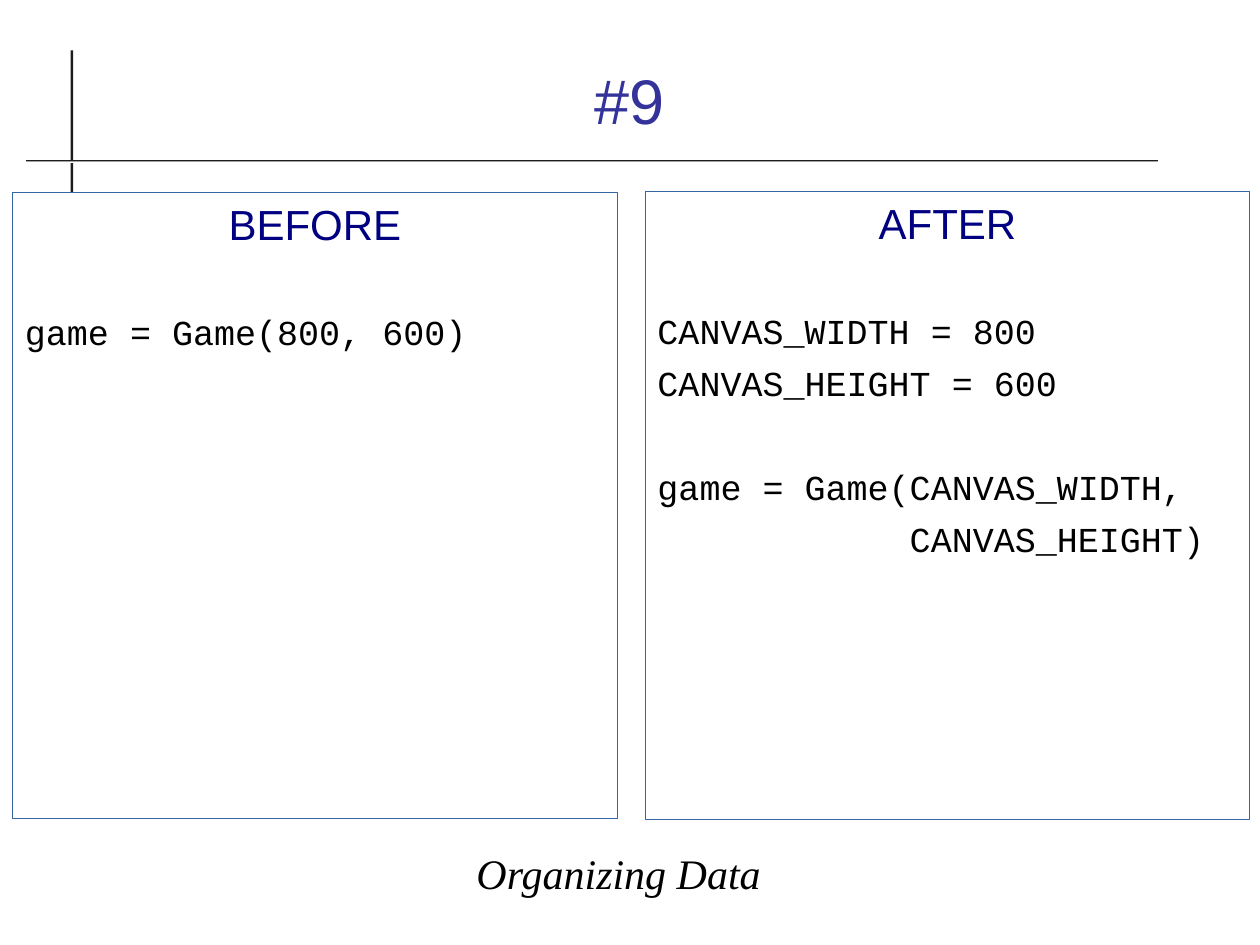
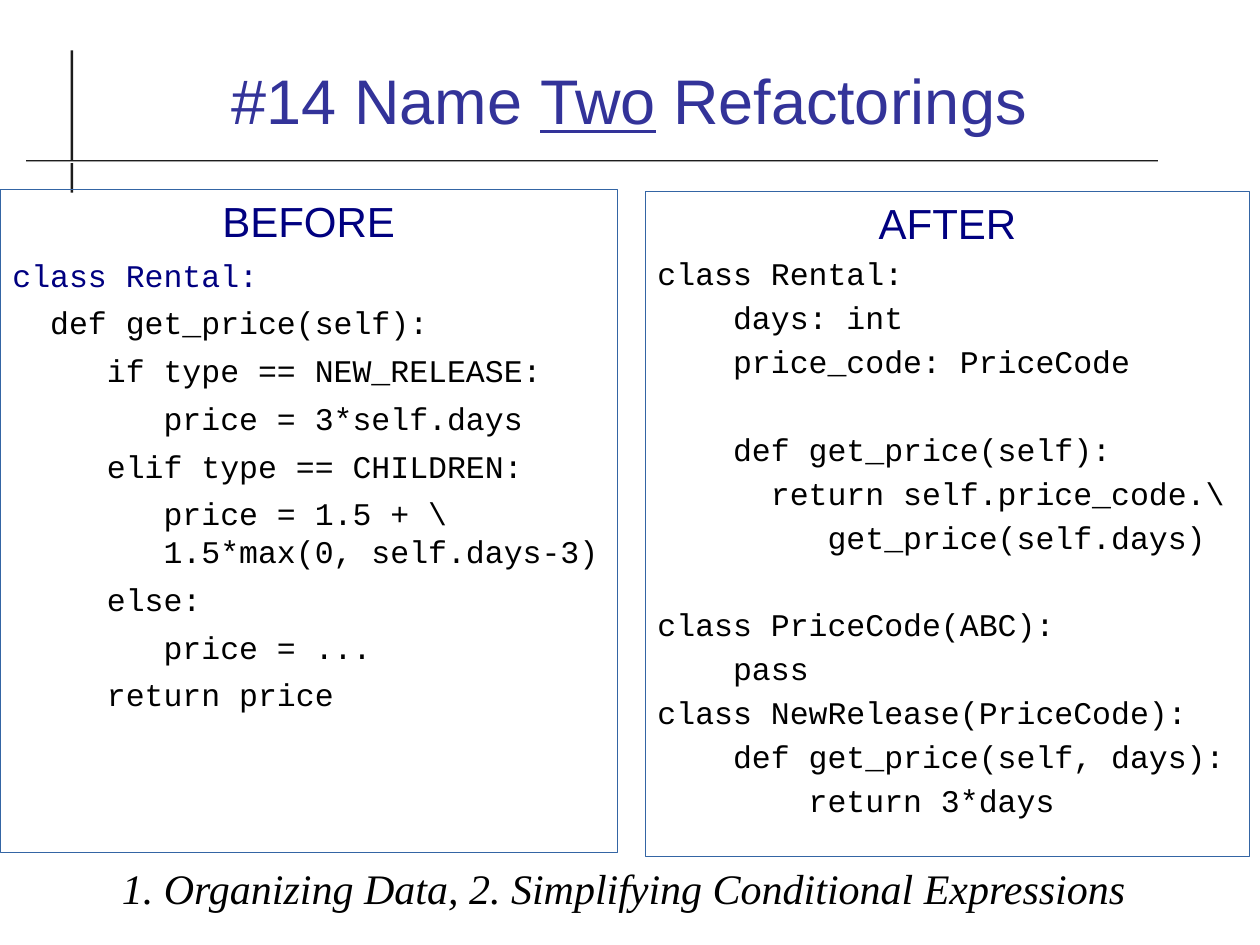
from dataclasses import dataclass

from pptx import Presentation
from pptx.dml.color import RGBColor
from pptx.enum.shapes import MSO_SHAPE
from pptx.enum.text import MSO_ANCHOR, PP_ALIGN
from pptx.shapes.autoshape import Shape
from pptx.slide import Slide
from pptx.text.text import _Paragraph
from pptx.util import Pt

COLORS = {
    "title": "333399",
    "heading": "000080",
    "text": "000000",
    "border": "3465A4",
    "rule": "1C1C1C",
    "paper": "FFFFFF",
}
TITLE_FONT = {"name": "Arial", "size": Pt(36)}
HEADING_FONT = {"name": "Arial", "size": Pt(24)}
ANSWER_FONT = {"name": "Times New Roman", "size": Pt(24), "italic": True}
FRAME_FORMAT = {
    "word_wrap": True,
    "margin_left": Pt(7.2),
    "margin_right": Pt(7.2),
    "margin_top": Pt(3.6),
    "margin_bottom": Pt(3.6),
}
LINE_GAP = 5.7
CODE_LINE_HEIGHT = 1.19


@dataclass(frozen=True)
class Box:
    left: float
    top: float
    width: float
    height: float

    def lengths(self) -> list:
        return [Pt(value) for value in (self.left, self.top, self.width, self.height)]


@dataclass(frozen=True)
class Span:
    text: str
    underline: bool = False


@dataclass(frozen=True)
class Panel:
    heading: str
    box: Box
    code: tuple[str, ...]
    size: float
    spacing: float = 1.0
    first_color: str = "text"


@dataclass(frozen=True)
class Exercise:
    title: tuple[Span, ...]
    panels: tuple[Panel, ...]
    answer: str
    answer_box: Box


TITLE_BOX = Box(23.76, 18, 671.76, 77.76)
VERTICAL_RULE = Box(40.32, 28.8, 1.44, 81.36)
HORIZONTAL_RULE = Box(15.12, 91.44, 646.56, 1.44)

EXERCISES = (
    Exercise(
        title=(Span("#9"),),
        panels=(
            Panel("BEFORE", Box(7.2, 110.16, 345.6, 357.84),
                  ("", "game = Game(800, 600)"), 20),
            Panel("AFTER", Box(368.64, 109.44, 345.6, 358.56), (
                "",
                "CANVAS_WIDTH = 800",
                "CANVAS_HEIGHT = 600",
                "",
                "game = Game(CANVAS_WIDTH,",
                "            CANVAS_HEIGHT)",
            ), 20),
        ),
        answer="Organizing Data",
        answer_box=Box(72.72, 480.96, 561.6, 36),
    ),
    Exercise(
        title=(Span("#14 Name "), Span("Two", True), Span(" Refactorings")),
        panels=(
            Panel("BEFORE", Box(0, 108, 352.8, 379.44), (
                "class Rental:",
                "  def get_price(self):",
                "     if type == NEW_RELEASE:",
                "        price = 3*self.days",
                "     elif type == CHILDREN:",
                "        price = 1.5 + \\\n        1.5*max(0, self.days-3)",
                "     else:",
                "        price = ...",
                "     return price",
            ), 18, first_color="heading"),
            Panel("AFTER", Box(368.64, 109.44, 345.6, 380.16), (
                "class Rental:",
                "    days: int",
                "    price_code: PriceCode",
                "",
                "    def get_price(self):",
                "      return self.price_code.\\",
                "         get_price(self.days)",
                "",
                "class PriceCode(ABC):",
                "    pass",
                "class NewRelease(PriceCode):",
                "    def get_price(self, days):",
                "        return 3*days",
            ), 18, 0.9),
        ),
        answer="1. Organizing Data, 2. Simplifying Conditional Expressions",
        answer_box=Box(21.6, 489.6, 669.6, 41.04),
    ),
)


def apply_format(target: object, values: dict) -> None:
    for name, value in values.items():
        setattr(target, name, value)


def color(name: str) -> RGBColor:
    return RGBColor.from_string(COLORS[name])


def style_runs(paragraph: _Paragraph, font: dict, color_name: str) -> None:
    for run in paragraph.runs:
        apply_format(run.font, font)
        run.font.color.rgb = color(color_name)


def add_rectangle(slide: Slide, box: Box) -> Shape:
    rectangle = slide.shapes.add_shape(MSO_SHAPE.RECTANGLE, *box.lengths())
    rectangle.shadow.inherit = False
    return rectangle


def draw_rules(slide: Slide) -> None:
    vertical, horizontal = (
        add_rectangle(slide, box) for box in (VERTICAL_RULE, HORIZONTAL_RULE)
    )
    for rule in (vertical, horizontal):
        rule.line.fill.background()
    vertical.fill.solid()
    vertical.fill.fore_color.rgb = color("rule")
    horizontal.fill.gradient()
    horizontal.fill.gradient_angle = 90
    for stop, position, name in zip(
        horizontal.fill.gradient_stops, (0, 1), ("paper", "rule")
    ):
        stop.position = position
        stop.color.rgb = color(name)


def draw_label(slide: Slide, box: Box, spans: tuple[Span, ...], font: dict,
               color_name: str, anchor: MSO_ANCHOR) -> None:
    frame = slide.shapes.add_textbox(*box.lengths()).text_frame
    apply_format(frame, {**FRAME_FORMAT, "vertical_anchor": anchor})
    paragraph = frame.paragraphs[0]
    paragraph.alignment = PP_ALIGN.CENTER
    for span in spans:
        run = paragraph.add_run()
        run.text = span.text
        run.font.underline = span.underline
    style_runs(paragraph, font, color_name)


def draw_panel(slide: Slide, panel: Panel) -> None:
    outline = add_rectangle(slide, panel.box)
    outline.fill.background()
    outline.line.color.rgb = color("border")
    outline.line.width = Pt(0.5)
    frame = outline.text_frame
    apply_format(frame, {**FRAME_FORMAT, "vertical_anchor": MSO_ANCHOR.TOP})
    heading = frame.paragraphs[0]
    heading.text = panel.heading
    heading.alignment = PP_ALIGN.CENTER
    style_runs(heading, HEADING_FONT, "heading")
    code_font = {"name": "Courier New", "size": Pt(panel.size)}
    skipped_line = panel.size * CODE_LINE_HEIGHT * panel.spacing + LINE_GAP
    gap = LINE_GAP
    for index, code_line in enumerate(panel.code):
        if not code_line:
            gap += skipped_line
            continue
        paragraph = frame.add_paragraph()
        paragraph.text = code_line
        apply_format(paragraph, {
            "alignment": PP_ALIGN.LEFT,
            "space_before": Pt(gap),
            "line_spacing": panel.spacing,
        })
        style_runs(paragraph, code_font, "text" if index else panel.first_color)
        gap = LINE_GAP


def draw_exercise(slide: Slide, exercise: Exercise) -> None:
    draw_rules(slide)
    draw_label(slide, TITLE_BOX, exercise.title, TITLE_FONT, "title",
               MSO_ANCHOR.MIDDLE)
    for panel in exercise.panels:
        draw_panel(slide, panel)
    draw_label(slide, exercise.answer_box, (Span(exercise.answer),), ANSWER_FONT,
               "text", MSO_ANCHOR.TOP)


def main() -> None:
    presentation = Presentation()
    presentation.slide_width = Pt(720)
    presentation.slide_height = Pt(540)
    blank = presentation.slide_layouts[6]
    for exercise in EXERCISES:
        draw_exercise(presentation.slides.add_slide(blank), exercise)
    presentation.save("out.pptx")


if __name__ == "__main__":
    main()
